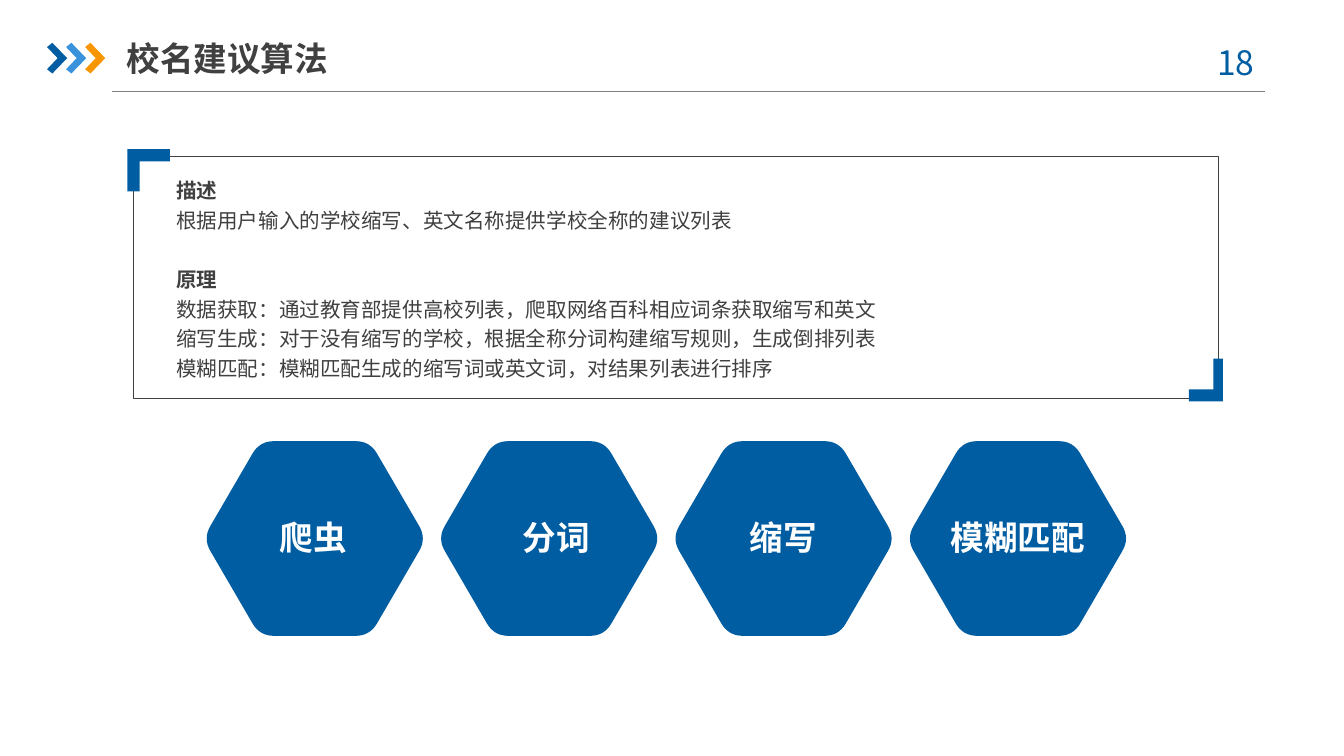
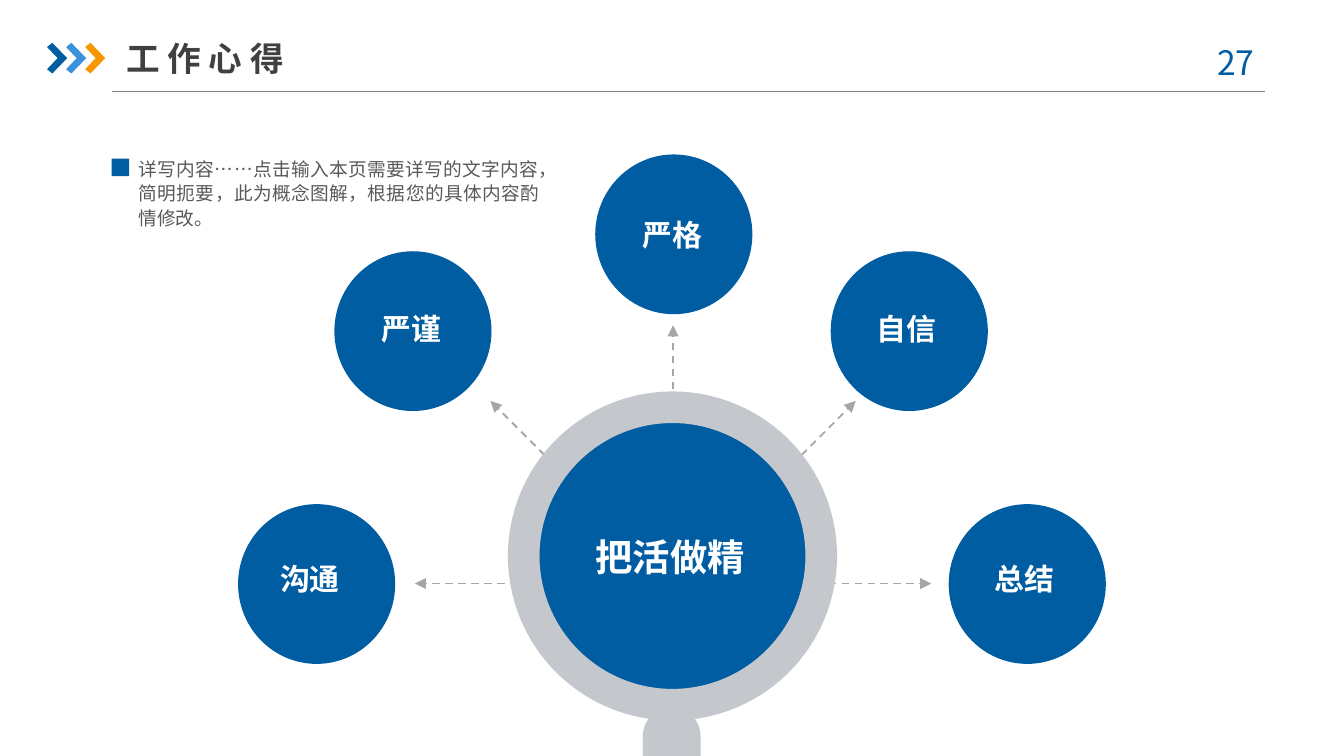
from math import cos, hypot, radians, sin

from lxml import etree
from pptx import Presentation
from pptx.dml.color import RGBColor
from pptx.enum.dml import MSO_LINE
from pptx.enum.shapes import MSO_CONNECTOR, MSO_SHAPE
from pptx.enum.text import MSO_ANCHOR, MSO_AUTO_SIZE, PP_ALIGN
from pptx.oxml.ns import qn
from pptx.util import Cm, Pt

BLUE = RGBColor(0x00, 0x5D, 0xA2)
LIGHT_BLUE = RGBColor(0x39, 0x92, 0xDB)
ORANGE = RGBColor(0xF7, 0x96, 0x00)
DARK = RGBColor(0x40, 0x40, 0x40)
TEXT_GRAY = RGBColor(0x59, 0x59, 0x59)
RULE_GRAY = RGBColor(0x80, 0x80, 0x80)
ARROW_GRAY = RGBColor(0xA6, 0xA6, 0xA6)
RING_GRAY = RGBColor(0xC4, 0xC7, 0xCB)
WHITE = RGBColor(0xFF, 0xFF, 0xFF)

LATIN_FONT = "Arial"
CJK_FONT = "Noto Sans CJK SC"

CENTER, LEFT, JUSTIFY = PP_ALIGN.CENTER, PP_ALIGN.LEFT, PP_ALIGN.JUSTIFY
TOP, MIDDLE = MSO_ANCHOR.TOP, MSO_ANCHOR.MIDDLE
OVAL, DONUT = MSO_SHAPE.OVAL, MSO_SHAPE.DONUT
RECTANGLE, ROUNDED = MSO_SHAPE.RECTANGLE, MSO_SHAPE.ROUNDED_RECTANGLE
STRAIGHT, DASH = MSO_CONNECTOR.STRAIGHT, MSO_LINE.DASH
NO_AUTOFIT = MSO_AUTO_SIZE.NONE

CHEVRON = [(0, 0.08), (0.1, 0), (0.38, 0.29), (0.1, 0.58), (0, 0.5), (0.2, 0.29)]

DESCRIPTION = [
    ("描述", ["根据用户输入的学校缩写、英文名称提供学校全称的建议列表"]),
    ("原理", [
        "数据获取：通过教育部提供高校列表，爬取网络百科相应词条获取缩写和英文",
        "缩写生成：对于没有缩写的学校，根据全称分词构建缩写规则，生成倒排列表",
        "模糊匹配：模糊匹配生成的缩写词或英文词，对结果列表进行排序",
    ]),
]

# label, shift of the label from the middle of its hexagon
STEPS = [("爬虫", -0.03), ("分词", 0.14), ("缩写", 0), ("模糊匹配", 0)]

# label, left and top of the circle, offset of the label in the circle
QUALITIES = [
    ("沟通", 4.5, 9.53, 0.13, 0.91),
    ("严谨", 6.32, 4.75, 0.23, 0.97),
    ("严格", 11.25, 2.92, 0.23, 1.02),
    ("自信", 15.7, 4.75, 0.2, 0.97),
    ("总结", 17.93, 9.53, 0.2, 0.91),
]
NOTE = "详写内容……点击输入本页需要详写的文字内容，简明扼要，此为概念图解，根据您的具体内容酌情修改。"


def place(shape, left, top, width, height):
    shape.left, shape.top = Cm(left), Cm(top)
    shape.width, shape.height = Cm(width), Cm(height)


def format_frame(frame, anchor, inset_x=0, inset_y=0):
    frame.word_wrap = True
    frame.auto_size = NO_AUTOFIT
    frame.vertical_anchor = anchor
    frame.margin_left = frame.margin_right = Cm(inset_x)
    frame.margin_top = frame.margin_bottom = Cm(inset_y)


def add_run(paragraph, text, size, color, bold=False, latin=LATIN_FONT):
    run = paragraph.add_run()
    run.text = text
    run.font.size = Pt(size)
    run.font.bold = bold
    run.font.color.rgb = color
    run.font.name = latin
    east_asian = etree.SubElement(run._r.get_or_add_rPr(), qn("a:ea"))
    east_asian.set("typeface", CJK_FONT)


def format_body(paragraph, line_points, space_before=0):
    """Turn a body paragraph into plain justified text without a bullet."""
    properties = paragraph._p.get_or_add_pPr()
    properties.set("marL", "0")
    properties.set("indent", "0")
    etree.SubElement(properties, qn("a:buNone"))
    paragraph.alignment = JUSTIFY
    paragraph.line_spacing = Pt(line_points)
    paragraph.space_before = Pt(space_before)


def add_label(slide, text, left, top, width, height, size,
              color=WHITE, bold=True, latin=LATIN_FONT):
    box = slide.shapes.add_textbox(Cm(left), Cm(top), Cm(width), Cm(height))
    format_frame(box.text_frame, MIDDLE)
    paragraph = box.text_frame.paragraphs[0]
    paragraph.alignment = CENTER
    add_run(paragraph, text, size, color, bold, latin)


def paint(shape, color):
    shape.shadow.inherit = False
    shape.fill.solid()
    shape.fill.fore_color.rgb = color
    shape.line.fill.background()


def add_filled(slide, kind, left, top, width, height, color):
    shape = slide.shapes.add_shape(kind, Cm(left), Cm(top), Cm(width), Cm(height))
    paint(shape, color)
    return shape


def add_outline(slide, points, left, top, color):
    corners = [(Cm(left + x), Cm(top + y)) for x, y in points]
    builder = slide.shapes.build_freeform(*corners[0], scale=1.0)
    builder.add_line_segments(corners[1:], close=True)
    paint(builder.convert_to_shape(), color)


def add_line(slide, start, end, color, points):
    line = slide.shapes.add_connector(STRAIGHT, *map(Cm, start + end))
    line.line.color.rgb = color
    line.line.width = Pt(points)
    etree.SubElement(line._element.spPr, qn("a:effectLst"))
    return line


def add_arrow(slide, start, end):
    arrow = add_line(slide, start, end, ARROW_GRAY, 1)
    arrow.line.dash_style = DASH
    outline = arrow._element.spPr.find(qn("a:ln"))
    etree.SubElement(outline, qn("a:tailEnd")).set("type", "triangle")


def add_base_slide(presentation, title_text, number):
    """Add a slide with the shared header; return it with its body placeholder."""
    slide = presentation.slides.add_slide(presentation.slide_layouts[1])
    title, body = slide.placeholders
    place(title, 2.39, 0.56, 5.92, 1.07)
    format_frame(title.text_frame, MIDDLE, 0, 0.13)
    paragraph = title.text_frame.paragraphs[0]
    paragraph.alignment = LEFT
    add_run(paragraph, title_text, 18, DARK, True)
    add_line(slide, (2.11, 1.73), (23.9, 1.73), RULE_GRAY, 0.75)
    for index, color in enumerate((BLUE, LIGHT_BLUE, ORANGE)):
        add_outline(slide, CHEVRON, 0.89 + 0.36 * index, 0.81, color)
    add_label(slide, f"{number} ", 22.5, 0.66, 1.85, 1.02, 18, BLUE, False, CJK_FONT)
    return slide, body


def add_bracket(slide, left, top, width, height, arm_x, arm_y):
    """Draw an L from its outer corner; negative lengths run left and up."""
    points = [(0, 0), (width, 0), (width, arm_y),
              (arm_x, arm_y), (arm_x, height), (0, height)]
    add_outline(slide, points, left, top, BLUE)


def add_description_panel(slide, body, left, top, width, height):
    place(body, left + 0.82, top + 0.33, width - 1.77, height - 0.66)
    frame = body.text_frame
    format_frame(frame, TOP)
    paragraph = frame.paragraphs[0]
    for index, (heading, lines) in enumerate(DESCRIPTION):
        if index:
            paragraph = frame.add_paragraph()
        format_body(paragraph, 15.84, 15.84 if index else 0)
        add_run(paragraph, heading, 11, DARK, True)
        for line in lines:
            paragraph = frame.add_paragraph()
            format_body(paragraph, 15.84)
            add_run(paragraph, line, 11, DARK)

    border = add_filled(slide, ROUNDED, left, top, width, height, WHITE)
    border.adjustments[0] = 0
    border.fill.background()
    border.line.color.rgb = DARK
    border.line.width = Pt(0.25)
    add_bracket(slide, left - 0.1, top - 0.13, 0.8, 0.8, 0.23, 0.23)
    add_bracket(slide, left + width + 0.08, top + height + 0.07,
                -0.64, -0.81, -0.18, -0.23)


def rounded_polygon(vertices, cut, steps=8):
    """Replace each corner by a quadratic curve that starts cut before it."""
    points = []
    for index, (x, y) in enumerate(vertices):
        ends = []
        for other_x, other_y in (vertices[index - 1],
                                 vertices[(index + 1) % len(vertices)]):
            share = cut / hypot(other_x - x, other_y - y)
            ends.append((x + (other_x - x) * share, y + (other_y - y) * share))
        (x0, y0), (x1, y1) = ends
        for step in range(steps + 1):
            t = step / steps
            a, b, c = (1 - t) ** 2, 2 * t * (1 - t), t ** 2
            points.append((a * x0 + b * x + c * x1, a * y0 + b * y + c * y1))
    return points


def add_step_hexagons(slide, left, top, width, height, pitch):
    tip, shoulder = -0.07, 1.0
    vertices = [(tip, height / 2), (shoulder, 0), (width - shoulder, 0),
                (width - tip, height / 2), (width - shoulder, height),
                (shoulder, height)]
    outline = rounded_polygon(vertices, 0.27)
    label_width, label_height = 2.69, 0.76
    for index, (text, shift) in enumerate(STEPS):
        x = left + pitch * index
        add_outline(slide, outline, x, top, BLUE)
        add_label(slide, text, x + (width - label_width) / 2 + shift, top + 1.43,
                  label_width, label_height, 18)


def add_note(slide, body, left, top):
    place(body, left + 0.51, top, 7.57, 1.4)
    format_frame(body.text_frame, TOP)
    paragraph = body.text_frame.paragraphs[0]
    format_body(paragraph, 13)
    add_run(paragraph, NOTE, 10, TEXT_GRAY)
    add_filled(slide, RECTANGLE, left, top + 0.05, 0.33, 0.33, BLUE)


def add_arrows(slide, x, y, length):
    for angle in range(0, 181, 45):
        end = (x + length * cos(radians(angle)), y - length * sin(radians(angle)))
        add_arrow(slide, (x, y), end)


def add_magnifier(slide, left, top, size):
    margin = 0.5
    lens = size - 2 * margin
    add_filled(slide, OVAL, left + margin, top + margin, lens, lens, BLUE)
    ring = add_filled(slide, DONUT, left, top, size, size, RING_GRAY)
    ring.adjustments[0] = 0.096
    handle = add_filled(slide, ROUNDED, left + 2.55, top + 5.97, 1.09, 2.24, RING_GRAY)
    handle.adjustments[0] = 0.5
    add_label(slide, "把活做精", left + 1.04, top + 2.56, 4.06, 1.12, 20)


def add_qualities(slide):
    for text, left, top, label_x, label_y in QUALITIES:
        add_filled(slide, OVAL, left, top, 2.97, 3.02, BLUE)
        add_label(slide, text, left + label_x, top + label_y, 2.46, 0.99, 16)


def build_algorithm_slide(presentation):
    slide, body = add_base_slide(presentation, "校名建议算法", 18)
    add_description_panel(slide, body, 2.51, 2.95, 20.52, 4.57)
    add_step_hexagons(slide, 3.91, 8.34, 4.08, 3.68, 4.43)


def build_reflection_slide(presentation):
    slide, body = add_base_slide(presentation, "工 作 心 得", 27)
    add_arrows(slide, 12.72, 11.03, 4.88)
    add_magnifier(slide, 9.6, 7.4, 6.22)
    add_qualities(slide)
    add_note(slide, body, 2.11, 2.95)


def main():
    presentation = Presentation()
    presentation.slide_width, presentation.slide_height = Cm(25.4), Cm(14.29)
    build_algorithm_slide(presentation)
    build_reflection_slide(presentation)
    presentation.save("out.pptx")


if __name__ == "__main__":
    main()
